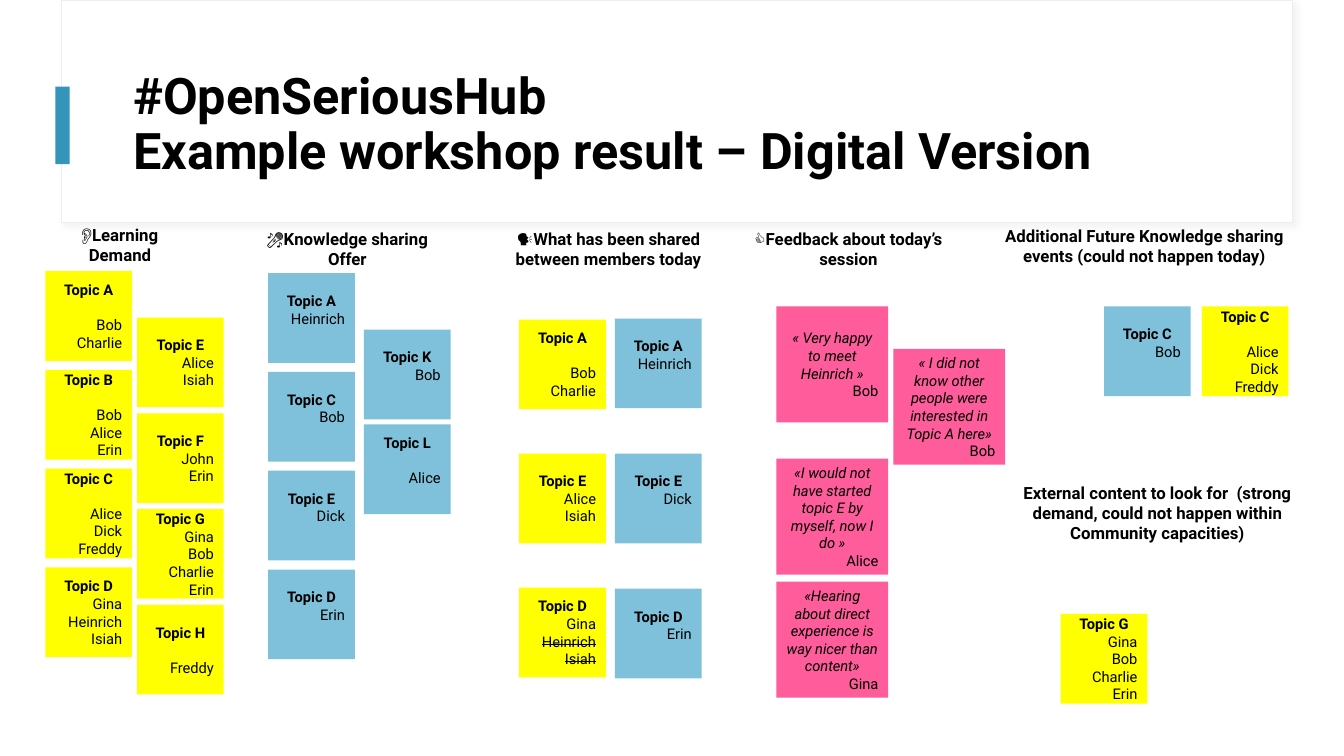
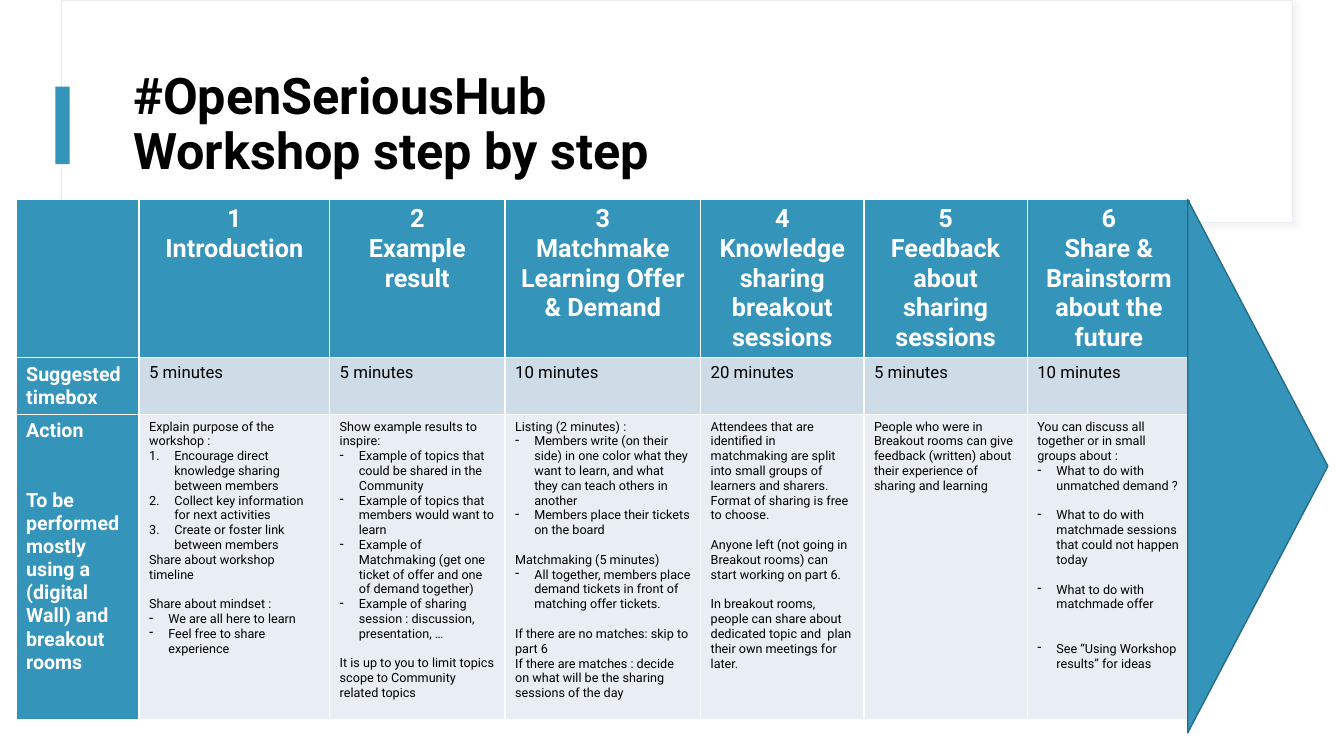
from dataclasses import dataclass

from lxml import etree
from pptx import Presentation
from pptx.dml.color import RGBColor
from pptx.enum.shapes import MSO_SHAPE
from pptx.enum.text import MSO_ANCHOR, PP_ALIGN
from pptx.oxml.ns import qn
from pptx.util import Inches, Pt

RECTANGLE, TRIANGLE = MSO_SHAPE.RECTANGLE, MSO_SHAPE.ISOSCELES_TRIANGLE
LEFT, CENTER, RIGHT = PP_ALIGN.LEFT, PP_ALIGN.CENTER, PP_ALIGN.RIGHT
TOP, MIDDLE = MSO_ANCHOR.TOP, MSO_ANCHOR.MIDDLE

FONT = "Roboto"
LINE_HEIGHT = 1.18
NOTE_SIZE = 10.5
COLORS = {
    "text": "000000",
    "white": "FFFFFF",
    "accent": "3494BA",
    "accent_edge": "266D8A",
    "frame_edge": "EBEEF2",
    "shadow": "D9D9D9",
    "timebox": "CEDCE7",
    "action": "E8EEF3",
    "demand": "FFFF00",
    "offer": "7FC1DB",
    "feedback": "FE5C9A",
}


@dataclass
class Note:
    lead: str
    names: str
    gap: int = 0
    struck: str = ""


@dataclass
class Stack:
    """Notes of one kind, one below the other, offset from their region."""
    kind: str
    dx: float
    dy: float
    step: float
    notes: list


@dataclass
class Line:
    text: str
    marker: str = ""
    gap: int = 0


@dataclass
class Step:
    title: str
    minutes: int
    actions: list


@dataclass
class NoteStyle:
    width: float
    height: float
    bold: bool
    italic: bool
    bottom_inset: float


NOTE_STYLES = {
    "demand": NoteStyle(0.86, 0.89, True, False, 0.05),
    "offer": NoteStyle(0.86, 0.89, True, False, 0.22),
    "feedback": NoteStyle(1.11, 1.15, False, True, 0.05),
}

REGIONS = [
    ((0.45, 2.18, 1.48, 0.5), "👂Learning Demand", [
        Stack("demand", 0, 0.51, 0.98, [
            Note("Topic A", "Bob Charlie", 1),
            Note("Topic B", "Bob Alice Erin", 1),
            Note("Topic C", "Alice Dick Freddy", 1),
            Note("Topic D", "Gina Heinrich Isiah")]),
        Stack("demand", 0.91, 0.97, 0.95, [
            Note("Topic E", "Alice Isiah"),
            Note("Topic F", "John Erin"),
            Note("Topic G", "Gina Bob Charlie Erin"),
            Note("Topic H", "Freddy", 1)])]),
    ((2.52, 2.22, 1.85, 0.5), "🎤Knowledge sharing Offer", [
        Stack("offer", 0.14, 0.49, 0.98, [
            Note("Topic A", "Heinrich"), Note("Topic C", "Bob"),
            Note("Topic E", "Dick"), Note("Topic D", "Erin")]),
        Stack("offer", 1.09, 1.05, 0.94, [
            Note("Topic K", "Bob"), Note("Topic L", "Alice", 1)])]),
    ((4.91, 2.22, 2.25, 0.5), "🗣️What has been shared between members today", [
        Stack("demand", 0.24, 0.95, 1.33, [
            Note("Topic A", "Bob Charlie", 1),
            Note("Topic E", "Alice Isiah"),
            Note("Topic D", "Gina Heinrich Isiah", struck="Heinrich Isiah")]),
        Stack("offer", 1.19, 0.94, 1.34, [
            Note("Topic A", "Heinrich"), Note("Topic E", "Dick"),
            Note("Topic D", "Erin")])]),
    ((7.29, 2.22, 2.25, 0.5), "👍Feedback about today’s session", [
        Stack("feedback", 0.41, 0.82, 0, [
            Note("« Very happy to meet Heinrich »", "Bob")]),
        Stack("feedback", 1.57, 1.24, 0, [
            Note("« I did not know other people were interested in Topic A here»",
                 "Bob")]),
        Stack("feedback", 0.41, 2.33, 1.22, [
            Note("«I would not have started topic E by myself, now I do »", "Alice"),
            Note("«Hearing about direct experience is way nicer than content»",
                 "Gina")])]),
    ((9.79, 2.19, 3.12, 0.71),
     "Additional Future Knowledge sharing events (could not happen today)", [
        Stack("offer", 1.16, 0.85, 0, [Note("Topic C", "Bob")]),
        Stack("demand", 2.13, 0.85, 0, [Note("Topic C", "Alice Dick Freddy", 1)])]),
    ((9.8, 4.74, 3.36, 0.71),
     "External content to look for  (strong demand, could not happen within "
     "Community capacities)", [
        Stack("demand", 0.72, 1.35, 0, [Note("Topic G", "Gina Bob Charlie Erin")])]),
]

STEPS = [
    Step("Introduction", 5, [
        Line("Explain purpose of the workshop :"),
        Line("Encourage direct knowledge sharing between members", "1."),
        Line("Collect key information for next activities", "1."),
        Line("Create or foster link between members", "1."),
        Line("Share about workshop timeline"),
        Line("Share about mindset :", gap=1),
        Line("We are all here to learn", "-"),
        Line("Feel free to share experience", "-")]),
    Step("Example result", 5, [
        Line("Show example results to inspire:"),
        Line("Example of topics that could be shared in the Community", "-"),
        Line("Example of topics that members would want to learn", "-"),
        Line("Example of Matchmaking (get one ticket of offer and one of demand "
             "together)", "-"),
        Line("Example of sharing session : discussion, presentation, …", "-"),
        Line("It is up to you to limit topics scope to Community related topics",
             gap=1)]),
    Step("Matchmake Learning Offer & Demand", 10, [
        Line("Listing (2 minutes) :"),
        Line("Members write (on their side) in one color what they want to learn, "
             "and what they can teach others in another", "-"),
        Line("Members place their tickets on the board", "-"),
        Line("Matchmaking (5 minutes)", gap=1),
        Line("All together, members place demand tickets in front of matching "
             "offer tickets.", "-"),
        Line("If there are no matches: skip to part 6", gap=1),
        Line("If there are matches : decide on what will be the sharing sessions "
             "of the day")]),
    Step("Knowledge sharing breakout sessions", 20, [
        Line("Attendees that are identified in matchmaking are split into small "
             "groups of learners and sharers. Format of sharing is free to choose."),
        Line("Anyone left (not going in Breakout rooms) can start working on part 6.",
             gap=1),
        Line("In breakout rooms, people can share about dedicated topic and  plan "
             "their own meetings for later.", gap=1)]),
    Step("Feedback about sharing sessions", 5, [
        Line("People who were in Breakout rooms can give feedback (written) about "
             "their experience of sharing and learning")]),
    Step("Share & Brainstorm about the future", 10, [
        Line("You can discuss all together or in small groups about :"),
        Line("What to do with unmatched demand ?", "-"),
        Line("What to do with matchmade sessions that could not happen today", "-", 1),
        Line("What to do with matchmade offer", "-", 1),
        Line("See “Using Workshop results” for ideas", "-", 2)]),
]


def rgb(name):
    return RGBColor.from_string(COLORS[name])


def add_run(paragraph, text, size, color="text", bold=False, italic=False):
    run = paragraph.add_run()
    run.text = text
    font = run.font
    font.name, font.size, font.bold, font.italic = FONT, Pt(size), bold, italic
    font.color.rgb = rgb(color)
    return run


def next_paragraph(frame, align=LEFT, space=0):
    """Return the empty first paragraph of the frame, or a new one."""
    first = frame.paragraphs[0]
    paragraph = frame.add_paragraph() if first.runs else first
    paragraph.alignment = align
    if space:
        paragraph.space_before = Pt(space)
    return paragraph


def add_panel(slide, preset, box, fill, edge=None, edge_width=1):
    panel = slide.shapes.add_shape(preset, *map(Inches, box))
    panel.shadow.inherit = False
    panel.fill.solid()
    panel.fill.fore_color.rgb = rgb(fill)
    if edge:
        panel.line.color.rgb = rgb(edge)
        panel.line.width = Pt(edge_width)
    else:
        panel.line.fill.background()
    return panel


def add_soft_shadow(panel):
    effects = panel._element.spPr.find(qn("a:effectLst"))
    shadow = etree.SubElement(effects, qn("a:outerShdw"), blurRad=str(Pt(4)),
                              dist=str(Pt(3)), dir=str(45 * 60000))
    color = etree.SubElement(shadow, qn("a:srgbClr"), val=COLORS["shadow"])
    etree.SubElement(color, qn("a:alpha"), val="30000")


def style_layout(layout, slide):
    """Give the layout its title box, frame and accent bar."""
    title, *others = list(layout.placeholders)
    tree = title._element.getparent()
    for placeholder in others:
        tree.remove(placeholder._element)
    title.left, title.top, title.width, title.height = map(
        Inches, (1.22, 0.6, 11.61, 1.29))
    frame = add_panel(slide, RECTANGLE, (0.61, 0, 12.21, 2.21), "white",
                      "frame_edge", 0.75)
    add_soft_shadow(frame)
    bar = add_panel(slide, RECTANGLE, (0.55, 0.86, 0.14, 0.77), "accent")
    for panel in (frame, bar):
        title._element.addprevious(panel._element)


def set_title(slide, subject):
    frame = slide.shapes.title.text_frame
    frame.vertical_anchor = MIDDLE
    paragraph = next_paragraph(frame)
    paragraph.line_spacing = 0.9
    add_run(paragraph, "#OpenSeriousHub", 36, bold=True)
    paragraph.add_line_break()
    add_run(paragraph, subject, 36, bold=True)


def add_note(slide, left, top, kind, note):
    style = NOTE_STYLES[kind]
    box = (left, top, style.width, style.height)
    frame = add_panel(slide, RECTANGLE, box, kind).text_frame
    frame.word_wrap = True
    frame.vertical_anchor = MIDDLE
    frame.margin_bottom = Inches(style.bottom_inset)
    add_run(next_paragraph(frame, CENTER), note.lead, NOTE_SIZE,
            bold=style.bold, italic=style.italic)
    for index, name in enumerate(note.names.split()):
        space = 0 if index else note.gap * NOTE_SIZE * LINE_HEIGHT
        run = add_run(next_paragraph(frame, RIGHT, space), name, NOTE_SIZE)
        if name in note.struck.split():
            run.font._element.set("strike", "sngStrike")


def add_region(slide, box, heading, stacks):
    frame = slide.shapes.add_textbox(*map(Inches, box)).text_frame
    frame.word_wrap = True
    add_run(next_paragraph(frame, CENTER), heading, 12, bold=True)
    left, top = box[:2]
    for stack in stacks:
        for row, note in enumerate(stack.notes):
            add_note(slide, left + stack.dx, top + stack.dy + row * stack.step,
                     stack.kind, note)


def add_marker(paragraph, marker):
    numbered = marker == "1."
    indent = Inches(0.25 if numbered else 0.19)
    properties = paragraph._p.get_or_add_pPr()
    properties.set("marL", str(indent))
    properties.set("indent", str(-indent))
    if numbered:
        etree.SubElement(properties, qn("a:buAutoNum"), type="arabicPeriod")
    else:
        etree.SubElement(properties, qn("a:buChar"), char=marker)


def fill_cell(cell, fill, lines, size, color="text", bold=False, align=LEFT):
    cell.fill.solid()
    cell.fill.fore_color.rgb = rgb(fill)
    cell.vertical_anchor = TOP
    for line in lines:
        paragraph = next_paragraph(cell.text_frame, align,
                                   line.gap * size * LINE_HEIGHT)
        if line.marker:
            add_marker(paragraph, line.marker)
        add_run(paragraph, line.text, size, color, bold)


def add_step_table(slide, left, top, widths, heights):
    table = slide.shapes.add_table(
        len(heights), len(widths), Inches(left), Inches(top),
        Inches(sum(widths)), Inches(sum(heights))).table
    table.horz_banding = False
    for column, width in zip(table.columns, widths):
        column.width = Inches(width)
    for row, height in zip(table.rows, heights):
        row.height = Inches(height)
    row_labels = [
        [],
        [Line("Suggested timebox")],
        [Line("Action"),
         Line("To be performed mostly using a (digital Wall) and breakout rooms",
              gap=2)],
    ]
    for row, label in enumerate(row_labels):
        fill_cell(table.cell(row, 0), "accent", label, 14, "white", True)
    for number, step in enumerate(STEPS, 1):
        fill_cell(table.cell(0, number), "accent",
                  [Line(str(number)), Line(step.title)], 18, "white", True, CENTER)
        fill_cell(table.cell(1, number), "timebox",
                  [Line(f"{step.minutes} minutes")], 12)
        fill_cell(table.cell(2, number), "action", step.actions, 9)


def main():
    deck = Presentation()
    deck.slide_width, deck.slide_height = Inches(13.33), Inches(7.5)
    layout = deck.slide_layouts[5]
    result = deck.slides.add_slide(layout)
    style_layout(layout, result)
    set_title(result, "Example workshop result – Digital Version")
    for region in REGIONS:
        add_region(result, *region)

    process = deck.slides.add_slide(layout)
    set_title(process, "Workshop step by step")
    add_step_table(process, 0.16, 1.98, (1.22, 1.89, 1.74, 1.94, 1.62, 1.62, 1.62),
                   (1.57, 0.56, 3.03))
    arrow_tip = add_panel(process, TRIANGLE, (9.83, 3.93, 5.29, 1.39), "accent",
                          "accent_edge")
    arrow_tip.rotation = 90
    deck.save("out.pptx")


if __name__ == "__main__":
    main()
